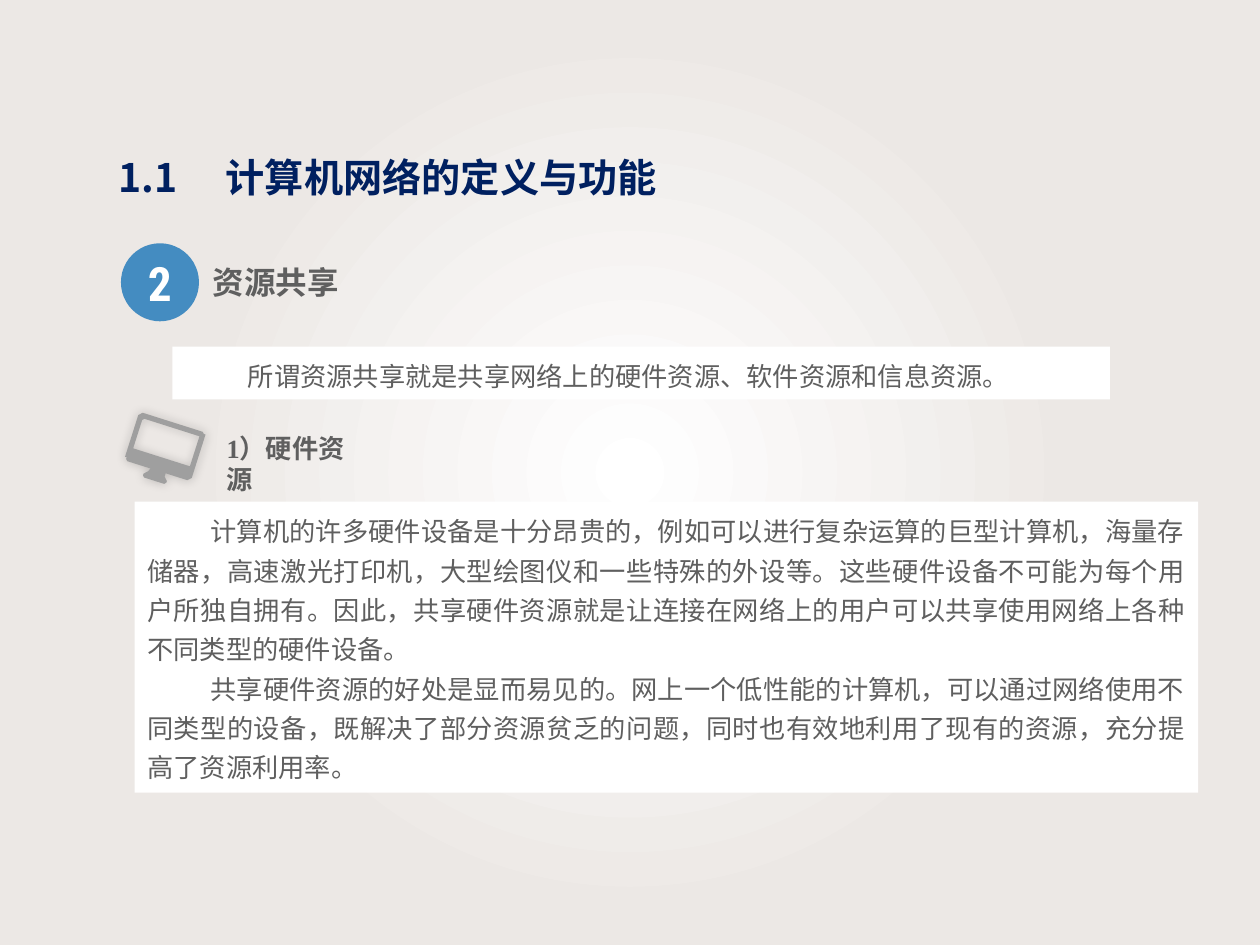
import math
from lxml import etree
from pptx import Presentation
from pptx import util as u
from pptx.dml.color import RGBColor
from pptx.enum import shapes, text
from pptx.oxml.ns import qn

Pt = u.Pt
THEME = {
    "cjk": "Noto Sans CJK SC", "serif": "Times New Roman", "number": "Roboto Condensed",
    "navy": "002060", "gray": "5F5F5F", "white": "FFFFFF", "blue": "0A6CB5",
    "icon": "9F9F9F", "edge": "ECE8E5",
    "title_size": 22.4, "heading_size": 18, "number_size": 27, "body_size": 15,
}
TITLE = "1.1　 计算机网络的定义与功能"
NUMBER, HEADING = "2", "资源共享"
SUMMARY = ["所谓资源共享就是共享网络上的硬件资源、软件资源和信息资源。"]
SUBHEADING = "1）硬件资源"
DETAILS = [
    "计算机的许多硬件设备是十分昂贵的，例如可以进行复杂运算的巨型计算机，海量存储器，"
    "高速激光打印机，大型绘图仪和一些特殊的外设等。这些硬件设备不可能为每个用户所独自拥有。"
    "因此，共享硬件资源就是让连接在网络上的用户可以共享使用网络上各种不同类型的硬件设备。",
    "共享硬件资源的好处是显而易见的。网上一个低性能的计算机，可以通过网络使用不同类型的设备，"
    "既解决了部分资源贫乏的问题，同时也有效地利用了现有的资源，充分提高了资源利用率。",
]
# left, top, width, height
PLACES = {
    "title": (49.7, 82.8, 344.2, 40.3), "circle": (69.1, 139, 44.6, 44.6),
    "heading": (113, 150.5, 89.3, 21.6), "summary": (98.6, 198, 535.7, 30.2),
    "subheading": (122.4, 243.4, 94, 25.2), "details": (77, 286.6, 607.7, 166.3),
}
ICON_LEFT, ICON_TOP, ICON_ANGLE = 73.4, 240.5, 17.6


def color(name):
    return RGBColor.from_string(THEME[name])


def place(name):
    return [Pt(value) for value in PLACES[name]]


def paint(shape, name):
    shape.shadow.inherit = False
    shape.fill.solid()
    shape.fill.fore_color.rgb = color(name)
    shape.line.fill.background()


def write(shape, lines, size, font, ink, bold=False, align=text.PP_ALIGN.LEFT,
          insets=(7.2, 3.6), anchor=text.MSO_ANCHOR.TOP, wrap=True, spacing=None, indent=0):
    frame = shape.text_frame
    frame.text = "\n".join(lines)
    frame.auto_size = text.MSO_AUTO_SIZE.NONE
    frame.word_wrap = wrap
    frame.vertical_anchor = anchor
    frame.margin_left = frame.margin_right = Pt(insets[0])
    frame.margin_top = frame.margin_bottom = Pt(insets[1])
    for para in frame.paragraphs:
        para.alignment = align
        para.space_before = Pt(0)
        para.line_spacing = spacing
        props = para._p.get_or_add_pPr()
        props.set("marL", "0")
        props.set("indent", str(Pt(indent)))
        etree.SubElement(props, qn("a:buNone"))
        para.font.size = Pt(THEME[size])
        para.font.bold = bold
        para.font.color.rgb = color(ink)
        para.font.name = THEME[font]
        east = etree.SubElement(props.find(qn("a:defRPr")), qn("a:ea"))
        east.set("typeface", THEME["cjk"])


def add_backdrop(page, width, height):
    """Full-page radial gradient, behind everything else."""
    backdrop = page.shapes.add_shape(shapes.MSO_SHAPE.RECTANGLE, 0, 0, width, height)
    paint(backdrop, "white")
    solid = backdrop._element.spPr.find(qn("a:solidFill"))
    gradient = etree.Element(qn("a:gradFill"), rotWithShape="1")
    stops = etree.SubElement(gradient, qn("a:gsLst"))
    for position, name in ((0, "white"), (57, "edge")):
        stop = etree.SubElement(stops, qn("a:gs"), pos=str(position * 1000))
        etree.SubElement(stop, qn("a:srgbClr"), val=THEME[name])
    focus = etree.SubElement(gradient, qn("a:path"), path="circle")
    etree.SubElement(focus, qn("a:fillToRect"), l="50000", t="50000", r="50000", b="50000")
    solid.getparent().replace(solid, gradient)
    page.shapes._spTree.insert(2, backdrop._element)


def rounded(left, top, right, bottom, radius):
    """Points of a rounded rectangle, clockwise from the top right corner."""
    centers = ((right - radius, top + radius), (right - radius, bottom - radius),
               (left + radius, bottom - radius), (left + radius, top + radius))
    return [(x + radius * math.cos(math.radians(angle)), y + radius * math.sin(math.radians(angle)))
            for corner, (x, y) in enumerate(centers)
            for angle in range(corner * 90 - 90, corner * 90 + 1, 18)]


def add_monitor(page):
    case = rounded(0, 0, 40.3, 28.8, 3.2)
    screen = rounded(3.2, 3.2, 37.1, 21.2, 0.9)[::-1]
    stand = [(15.6, 28.8), (15.2, 31), (13.4, 33), (13.4, 34.4), (14.3, 35.3),
             (26, 35.3), (26.9, 34.4), (26.9, 33), (25.1, 31), (24.7, 28.8)]
    builder = page.shapes.build_freeform(*case[0], scale=Pt(1))
    builder.add_line_segments(case[1:])
    for outline in (screen, stand):
        builder.move_to(*outline[0])
        builder.add_line_segments(outline[1:])
    monitor = builder.convert_to_shape(Pt(ICON_LEFT), Pt(ICON_TOP))
    paint(monitor, "icon")
    monitor.rotation = ICON_ANGLE
    effects = monitor._element.spPr.find(qn("a:effectLst"))
    shadow = etree.SubElement(effects, qn("a:outerShdw"), blurRad=str(Pt(6)), dist="0",
                              dir=str(315 * 60000))
    ink = etree.SubElement(shadow, qn("a:srgbClr"), val="000000")
    etree.SubElement(ink, qn("a:alpha"), val="20000")


def main():
    deck = Presentation()
    deck.slide_width, deck.slide_height = Pt(720), Pt(540)
    page = deck.slides.add_slide(deck.slide_layouts[1])
    add_backdrop(page, deck.slide_width, deck.slide_height)

    title, details = page.placeholders
    for box, name in ((title, "title"), (details, "details")):
        box.left, box.top, box.width, box.height = place(name)
    write(title, [TITLE], "title_size", "cjk", "navy", bold=True, align=text.PP_ALIGN.CENTER,
          insets=(5, 2.9), anchor=text.MSO_ANCHOR.MIDDLE, spacing=0.9)

    summary = page.shapes.add_shape(shapes.MSO_SHAPE.RECTANGLE, *place("summary"))
    paint(summary, "white")
    details.fill.solid()
    details.fill.fore_color.rgb = color("white")
    for box, lines in ((summary, SUMMARY), (details, DETAILS)):
        write(box, lines, "body_size", "serif", "gray", align=text.PP_ALIGN.JUSTIFY,
              spacing=1.25, indent=36)

    heading = page.shapes.add_textbox(*place("heading"))
    write(heading, [HEADING], "heading_size", "cjk", "gray", bold=True,
          insets=(8.6, 0), wrap=False)
    circle = page.shapes.add_shape(shapes.MSO_SHAPE.OVAL, *place("circle"))
    paint(circle, "blue")
    tint = circle._element.spPr.find(qn("a:solidFill"))[0]
    etree.SubElement(tint, qn("a:alpha"), val="74000")
    write(circle, [NUMBER], "number_size", "number", "white", bold=True,
          align=text.PP_ALIGN.CENTER, insets=(5, 2.9), anchor=text.MSO_ANCHOR.MIDDLE)

    add_monitor(page)
    subheading = page.shapes.add_textbox(*place("subheading"))
    write(subheading, [SUBHEADING], "body_size", "serif", "gray", bold=True)
    deck.save("out.pptx")


if __name__ == "__main__":
    main()
